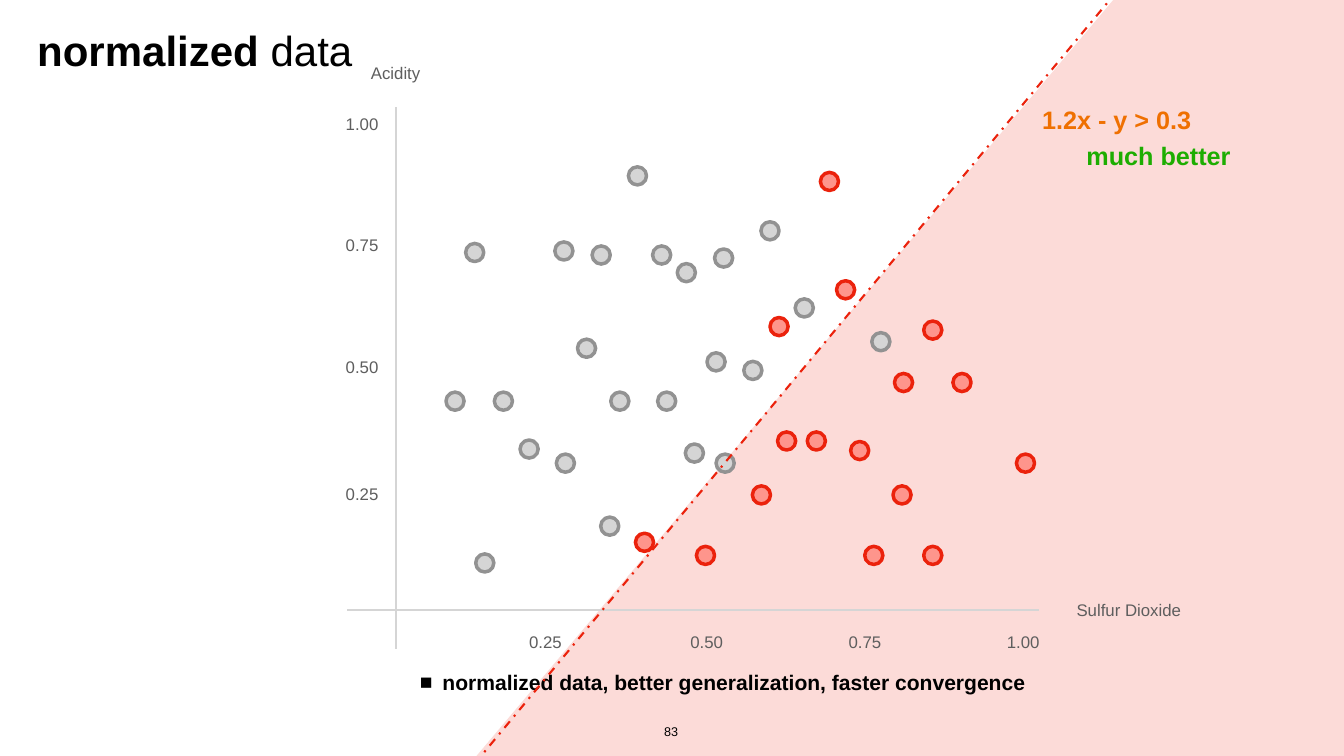
"""Build a slide with a scatter of normalized data and its decision boundary."""
from lxml.etree import SubElement
from pptx import Presentation
from pptx.dml.color import RGBColor
from pptx.enum.dml import MSO_LINE
from pptx.enum.shapes import MSO_CONNECTOR, MSO_SHAPE
from pptx.enum.text import MSO_ANCHOR, PP_ALIGN
from pptx.oxml.ns import qn
from pptx.util import Inches, Pt

COLORS = {
    "black": "000000", "label": "5E5E5E", "axis": "D5D5D5",
    "gray": "D5D5D5", "gray_edge": "929292",
    "red": "FE958C", "red_edge": "EB220C", "region": "ED220D",
    "formula": "EF7001", "verdict": "1DAD01",
}
RGB = {name: RGBColor.from_string(value) for name, value in COLORS.items()}

COLS, ROWS = 26.67, 15
INSET, INDENT = 0.06, 0.45
DOT = 0.36
TICK_W, TICK_H = 0.77, 0.5
ORIGIN_X, ORIGIN_Y = 7.85, 12.1

prs = Presentation()
prs.slide_width, prs.slide_height = Inches(COLS), Inches(ROWS)
COL, ROW = prs.slide_width / COLS, prs.slide_height / ROWS
s = prs.slides.add_slide(prs.slide_layouts[6])


def grid(x1, y1, x2, y2):
    return round(x1 * COL), round(y1 * ROW), round(x2 * COL), round(y2 * ROW)


def add_text(text, at, size=24, color="label", bold=False, tail="", wrap=False,
             anchor=MSO_ANCHOR.MIDDLE, align=PP_ALIGN.CENTER, spacing=None, bullet=None):
    tf = s.shapes.add_textbox(*grid(*at)).text_frame
    tf.margin_left, tf.margin_top, tf.margin_right, tf.margin_bottom = grid(*[INSET] * 4)
    tf.word_wrap, tf.vertical_anchor = wrap, anchor
    p = tf.paragraphs[0]
    p.alignment = align
    if spacing:
        p.line_spacing = spacing
    if bullet:
        pPr = p._p.get_or_add_pPr()
        pPr.set("marL", str(round(INDENT * COL)))
        pPr.set("indent", str(-round(INDENT * COL)))
        SubElement(SubElement(pPr, qn("a:buClr")), qn("a:srgbClr"), val=COLORS[color])
        SubElement(pPr, qn("a:buFont"), typeface="Arial")
        SubElement(pPr, qn("a:buChar"), char=bullet)
    for part, weight in ((text, bold), (tail, False)):
        if part:
            r = p.add_run()
            r.text = part
            r.font.name, r.font.size, r.font.bold = "Arial", Pt(size), weight
            r.font.color.rgb = RGB[color]


region = s.shapes.add_shape(MSO_SHAPE.RECTANGLE, *grid(15.21, -1.26, 15.24, 24.42))
region.rotation = 40.1
region.shadow.inherit = False
region.fill.solid()
region.fill.fore_color.rgb = RGB["region"]
region.line.fill.background()
tint = region._element.spPr.find(qn("a:solidFill"))[0]
SubElement(tint, qn("a:alpha"), val="16000")

add_text("normalized", (0.47, 0.46, 6.79, 0.84), size=60, color="black", bold=True,
         tail=" data", spacing=1.2)
add_text("83", (13.12, 14.31, 0.4, 0.41), size=18, color="black", anchor=MSO_ANCHOR.BOTTOM)

dots_by_height = {
    "gray": {
        3.31: [12.47], 4.4: [15.1], 4.8: [11.01], 4.83: [9.24], 4.88: [11.75, 12.95],
        4.94: [14.18], 5.23: [13.44], 5.93: [15.78], 6.6: [17.3], 6.73: [11.46],
        7: [14.03], 7.17: [14.76], 7.78: [8.85, 9.81, 12.12, 13.05], 8.73: [10.32],
        8.81: [13.6], 9.01: [11.04, 14.21], 10.26: [11.92], 10.99: [9.44],
    },
    "red": {
        3.42: [16.28], 5.57: [16.6], 6.3: [15.28], 6.37: [18.33], 7.41: [17.75, 18.91],
        8.57: [15.43, 16.02], 8.76: [16.88], 9.01: [20.17], 9.64: [14.93, 17.72],
        10.58: [12.61], 10.84: [13.82, 17.16, 18.33],
    },
}
for group, heights in dots_by_height.items():
    for top, lefts in heights.items():
        for left in lefts:
            dot = s.shapes.add_shape(MSO_SHAPE.OVAL, *grid(left, top, DOT, DOT))
            dot.shadow.inherit = False
            dot.fill.solid()
            dot.fill.fore_color.rgb = RGB[group]
            dot.line.color.rgb = RGB[group + "_edge"]
            dot.line.width = Pt(5)

add_text("1.2x - y > 0.3", (19.7, 1.51, 4.92, 1.71), size=36, color="formula", bold=True)
add_text("much better", (21.48, 2.72, 3.02, 0.71), size=36, color="verdict", bold=True)
add_text("Acidity", (7.26, 1.2, 1.18, 0.5))
add_text("Sulfur Dioxide", (21.17, 11.84, 2.46, 0.52))

ticks = ["0.25", "0.50", "0.75", "1.00"]
tick_lefts = [10.44, 13.64, 16.78, 19.92]
tick_tops = [9.55, 7.02, 4.61, 2.2]
for tick, left, top in zip(ticks, tick_lefts, tick_tops):
    add_text(tick, (left, ORIGIN_Y + 0.38, TICK_W, TICK_H))
    add_text(tick, (ORIGIN_X - 1.05, top, TICK_W, TICK_H))

add_text("normalized data, better generalization, faster convergence",
         (8.27, 13.22, 12.77, 0.71), size=30.1, color="black", bold=True, wrap=True,
         anchor=MSO_ANCHOR.TOP, align=PP_ALIGN.LEFT, bullet="■")

y_axis = (ORIGIN_X, 12.87, ORIGIN_X, 2.13)
x_axis = (20.61, ORIGIN_Y, 6.89, ORIGIN_Y)
boundary = (9.13, 15.5, 22.27, -0.3)
for ends, color, dash in ((y_axis, "axis", MSO_LINE.SOLID), (x_axis, "axis", MSO_LINE.SOLID),
                          (boundary, "red_edge", MSO_LINE.DASH_DOT)):
    line = s.shapes.add_connector(MSO_CONNECTOR.STRAIGHT, *grid(*ends))
    line.line.color.rgb = RGB[color]
    line.line.width = Pt(3)
    line.line.dash_style = dash
    SubElement(line._element.spPr, qn("a:effectLst"))

prs.save("out.pptx")
